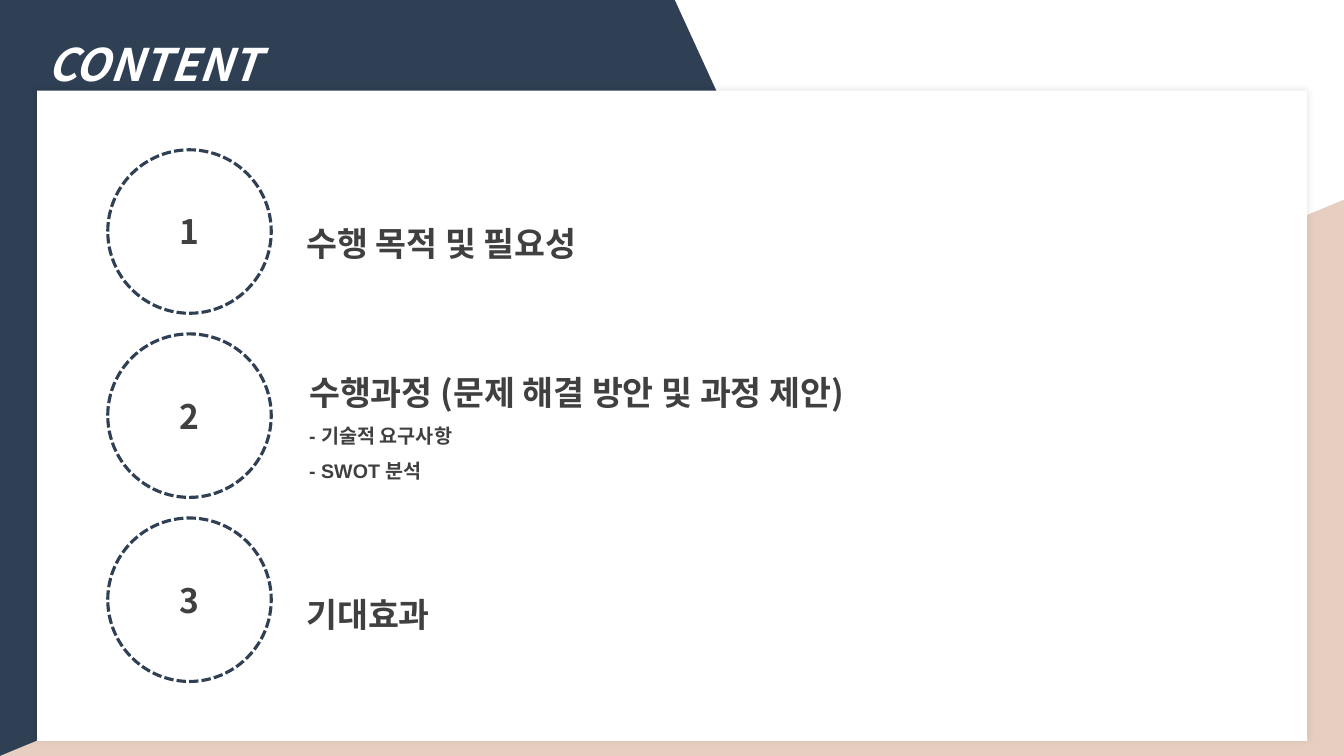
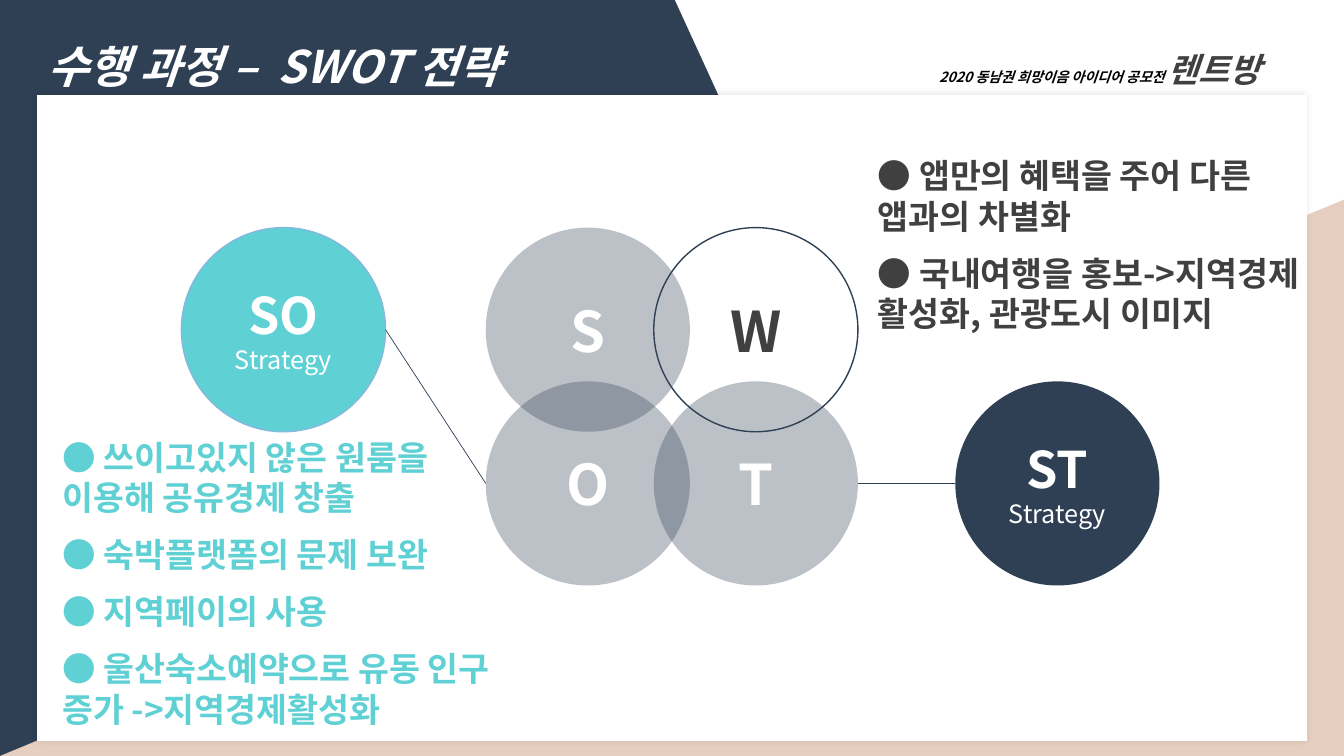
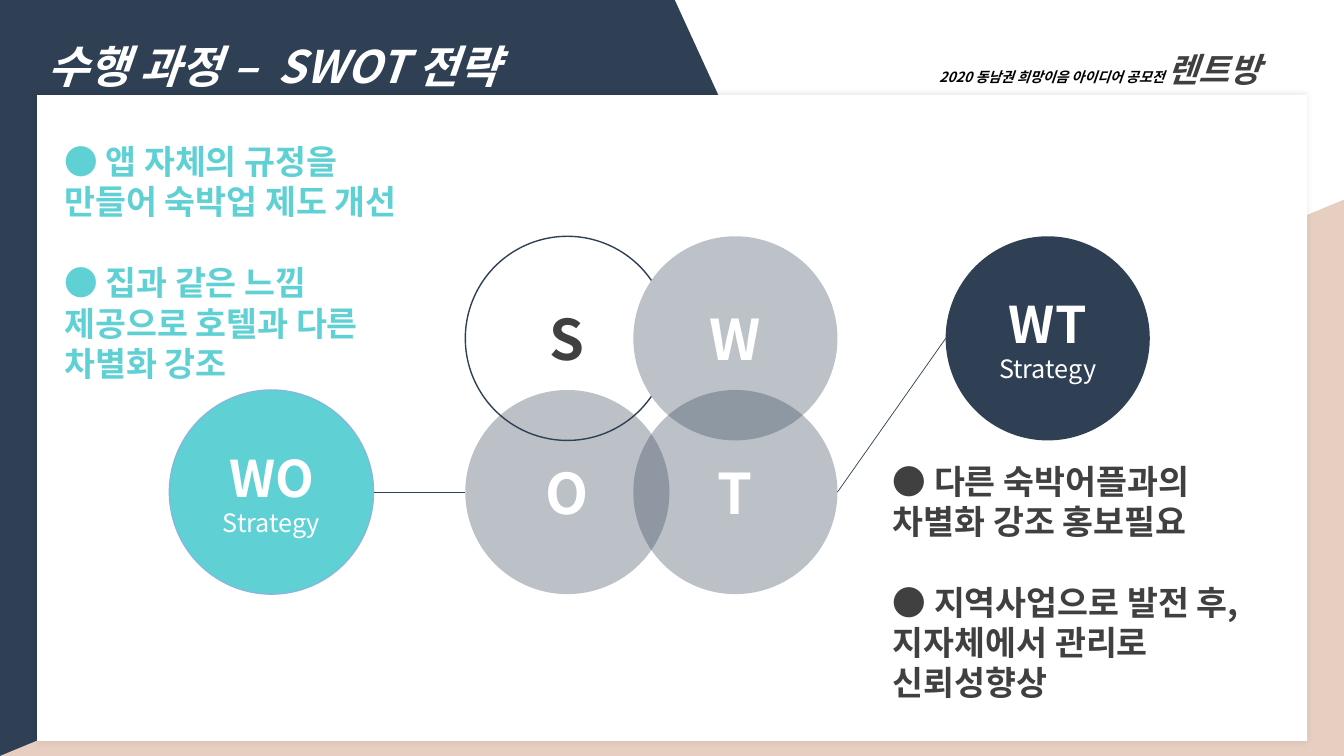
from dataclasses import dataclass

from lxml.etree import SubElement
from pptx import Presentation
from pptx.dml.color import RGBColor
from pptx.enum.dml import MSO_LINE
from pptx.enum.shapes import MSO_CONNECTOR, MSO_SHAPE
from pptx.enum.text import MSO_ANCHOR, MSO_AUTO_SIZE, PP_ALIGN
from pptx.oxml.ns import qn
from pptx.shapes.autoshape import Shape
from pptx.slide import Slide
from pptx.util import Pt


# Theme
@dataclass(frozen=True)
class Theme:
    navy: str = "2F4054"
    sand: str = "E6CFC1"
    white: str = "FFFFFF"
    black: str = "000000"
    charcoal: str = "404040"
    teal: str = "5FD0D4"
    teal_edge: str = "84B8DD"
    mist: str = "BCC2C8"
    font: str = "Noto Sans CJK KR"
    detail_font: str = "Arial"
    title_size: float = 32
    letter_size: float = 40
    strategy_size: float = 36
    body_size: float = 24
    caption_size: float = 18
    detail_size: float = 14
    event_size: float = 10


THEME = Theme()
WIDTH, HEIGHT = 960, 540
PANEL_LEFT, PANEL_WIDTH, PANEL_BOTTOM = 26.6, 907.2, 529.2
CIRCLE = 145.8
COLUMN_STEP, ROW_STEP = 120, 109.8


# Repeated elements
@dataclass(frozen=True)
class Topic:
    number: int
    text: str
    left: float
    top: float
    width: float
    height: float
    details: tuple[str, ...] = ()


@dataclass(frozen=True)
class Letter:
    text: str
    column: int
    row: int
    fill: str | None = THEME.navy
    opacity: int = 32


@dataclass(frozen=True)
class Strategy:
    name: str
    left: float
    top: float
    fill: str
    edge: str | None = None


@dataclass(frozen=True)
class Points:
    left: float
    top: float
    width: float
    height: float
    color: str
    gap: float
    lines: tuple[str, ...]


@dataclass(frozen=True)
class StrategySlide:
    left: float
    top: float
    letters: tuple[Letter, ...]
    left_strategy: Strategy
    right_strategy: Strategy
    points: tuple[Points, ...]


TOPICS = (
    Topic(1, "수행 목적 및 필요성", 211.7, 141, 341, 45),
    Topic(2, "수행과정 (문제 해결 방안 및 과정 제안)", 213.8, 247.7, 463, 99,
          ("- 기술적 요구사항", "- SWOT 분석")),
    Topic(3, "기대효과", 211.7, 406, 341, 45),
)

STRATEGY_SLIDES = (
    StrategySlide(
        347, 162.6,
        (Letter("S", 0, 0), Letter("O", 0, 1),
         Letter("W", 1, 0, fill=None), Letter("T", 1, 1)),
        Strategy("SO", 129.6, 162.6, THEME.teal, THEME.teal_edge),
        Strategy("ST", 682.4, 272.4, THEME.navy),
        (Points(620, 107.3, 317.5, 165, THEME.charcoal, 12,
                ("● 앱만의 혜택을 주어 다른 앱과의 차별화",
                 "● 국내여행을 홍보->지역경제 활성화, 관광도시 이미지")),
         Points(37.4, 308.2, 324, 218, THEME.teal, 12,
                ("● 쓰이고있지 않은 원룸을 이용해 공유경제 창출",
                 "● 숙박플랫폼의 문제 보완",
                 "● 지역페이의 사용",
                 "● 울산숙소예약으로 유동 인구 증가 ->지역경제활성화"))),
    ),
    StrategySlide(
        332.4, 168.8,
        (Letter("S", 0, 0, fill=None), Letter("O", 0, 1),
         Letter("W", 1, 0, fill=THEME.mist, opacity=100), Letter("T", 1, 1)),
        Strategy("WO", 121, 278.6, THEME.teal, THEME.teal_edge),
        Strategy("WT", 675.5, 168.8, THEME.navy),
        (Points(630.7, 325.4, 283.7, 181.4, THEME.charcoal, 29,
                ("● 다른 숙박어플과의 차별화 강조 홍보필요",
                 "● 지역사업으로 발전 후, 지자체에서 관리로 신뢰성향상")),
         Points(38.9, 97.2, 280, 181.4, THEME.teal, 29,
                ("● 앱 자체의 규정을 만들어 숙박업 제도 개선",
                 "● 집과 같은 느낌 제공으로 호텔과 다른 차별화 강조"))),
    ),
)


# Drawing tools
def write(shape: Shape, text: str, *, size: float, color: str, bold: bool = True,
          italic: bool = False, font: str = THEME.font, align: PP_ALIGN = PP_ALIGN.LEFT,
          line_spacing: float | None = None, space_before: float = 0,
          same_line: bool = False) -> None:
    """Add text as a new paragraph, or to the last one with same_line."""
    frame = shape.text_frame
    paragraph = frame.paragraphs[-1]
    if paragraph.runs and not same_line:
        paragraph = frame.add_paragraph()
        paragraph.space_before = Pt(space_before)
    paragraph.alignment = align
    if line_spacing:
        paragraph.line_spacing = line_spacing
    run = paragraph.add_run()
    run.text = text
    run.font.size = Pt(size)
    run.font.bold = bold
    run.font.italic = italic
    run.font.color.rgb = RGBColor.from_string(color)
    run.font.name = font
    east_asian = SubElement(run.font._element, qn("a:ea"))
    east_asian.set("typeface", THEME.font)


def add_text_box(slide: Slide, left: float, top: float, width: float, height: float) -> Shape:
    shape = slide.shapes.add_textbox(Pt(left), Pt(top), Pt(width), Pt(height))
    shape.text_frame.word_wrap = True
    shape.text_frame.auto_size = MSO_AUTO_SIZE.SHAPE_TO_FIT_TEXT
    return shape


def paint(shape: Shape, fill: str | None, opacity: int = 100,
          edge: str | None = None, edge_width: float = 1) -> None:
    shape.shadow.inherit = False
    if fill:
        shape.fill.solid()
        shape.fill.fore_color.rgb = RGBColor.from_string(fill)
        if opacity < 100:
            color = shape._element.spPr.find(qn("a:solidFill"))[0]
            SubElement(color, qn("a:alpha")).set("val", str(opacity * 1000))
    else:
        shape.fill.background()
    if edge:
        shape.line.color.rgb = RGBColor.from_string(edge)
        shape.line.width = Pt(edge_width)
    else:
        shape.line.fill.background()


def add_shape(slide: Slide, kind: MSO_SHAPE, left: float, top: float, width: float,
              height: float, fill: str | None, **style) -> Shape:
    shape = slide.shapes.add_shape(kind, Pt(left), Pt(top), Pt(width), Pt(height))
    paint(shape, fill, **style)
    return shape


def add_circle(slide: Slide, left: float, top: float, size: float,
               fill: str | None, **style) -> Shape:
    shape = add_shape(slide, MSO_SHAPE.OVAL, left, top, size, size, fill, **style)
    shape.text_frame.vertical_anchor = MSO_ANCHOR.MIDDLE
    return shape


def add_line(slide: Slide, start: tuple[float, float], end: tuple[float, float]) -> None:
    connector = slide.shapes.add_connector(
        MSO_CONNECTOR.STRAIGHT, *(Pt(value) for value in start + end))
    connector.line.color.rgb = RGBColor.from_string(THEME.navy)
    connector.line.width = Pt(0.5)
    SubElement(connector._element.spPr, qn("a:effectLst"))


def add_soft_shadow(shape: Shape) -> None:
    effects = shape._element.spPr.find(qn("a:effectLst"))
    shadow = SubElement(effects, qn("a:outerShdw"), blurRad=str(Pt(5)), dist="0",
                        dir="0", algn="ctr", rotWithShape="0")
    color = SubElement(shadow, qn("a:srgbClr"), val=THEME.black)
    SubElement(color, qn("a:alpha"), val="10000")


# Shared frame: navy band, sand wedge, white panel and title
def add_frame(slide: Slide, title: str, panel_top: float, title_top: float) -> None:
    builder = slide.shapes.build_freeform(0, 0, scale=Pt(1))
    builder.add_line_segments([(482.4, 0), (624, 310.3), (482.4, HEIGHT), (0, HEIGHT)])
    paint(builder.convert_to_shape(), THEME.navy)

    wedge = add_shape(slide, MSO_SHAPE.RIGHT_TRIANGLE, 0, 142.6, WIDTH, HEIGHT - 142.6,
                      THEME.sand)
    wedge._element.spPr.find(qn("a:xfrm")).set("flipH", "1")

    panel = add_shape(slide, MSO_SHAPE.RECTANGLE, PANEL_LEFT, panel_top, PANEL_WIDTH,
                      PANEL_BOTTOM - panel_top, THEME.white)
    add_soft_shadow(panel)

    write(add_text_box(slide, PANEL_LEFT, title_top, PANEL_WIDTH, 58), title,
          size=THEME.title_size, color=THEME.white, italic=True, line_spacing=1.5)


def add_event_label(slide: Slide) -> None:
    label = add_text_box(slide, 663.8, 31.7, 269.3, 36)
    write(label, "2020 동남권 희망이음 아이디어 공모전 ", size=THEME.event_size,
          color=THEME.black, italic=True)
    write(label, "렌트방", size=THEME.body_size, color=THEME.charcoal, italic=True,
          same_line=True)


# Contents slide
def add_topic(slide: Slide, topic: Topic) -> None:
    circle = add_circle(slide, 77, 107 + (topic.number - 1) * 131.5, 116.8, THEME.white,
                        opacity=52, edge=THEME.navy, edge_width=2.25)
    circle.line.dash_style = MSO_LINE.SQUARE_DOT
    write(circle, str(topic.number), size=THEME.body_size, color=THEME.charcoal,
          align=PP_ALIGN.CENTER)
    box = add_text_box(slide, topic.left, topic.top, topic.width, topic.height)
    write(box, topic.text, size=THEME.body_size, color=THEME.charcoal, line_spacing=1.5)
    for detail in topic.details:
        write(box, detail, size=THEME.detail_size, color=THEME.charcoal,
              font=THEME.detail_font, line_spacing=1.5)


def build_contents(slide: Slide) -> None:
    add_frame(slide, "CONTENT", panel_top=64.8, title_top=3.6)
    for topic in TOPICS:
        add_topic(slide, topic)


# Strategy slides
def add_strategy(slide: Slide, strategy: Strategy) -> None:
    circle = add_circle(slide, strategy.left, strategy.top, CIRCLE, strategy.fill,
                        edge=strategy.edge)
    write(circle, strategy.name, size=THEME.strategy_size, color=THEME.white,
          align=PP_ALIGN.CENTER)
    write(circle, "Strategy", size=THEME.caption_size, color=THEME.white, bold=False,
          align=PP_ALIGN.CENTER)


def build_strategies(slide: Slide, content: StrategySlide) -> None:
    add_frame(slide, "수행 과정 –  SWOT 전략", panel_top=67.9, title_top=5)
    add_event_label(slide)

    for letter in content.letters:
        circle = add_circle(slide, content.left + letter.column * COLUMN_STEP,
                            content.top + letter.row * ROW_STEP, CIRCLE, letter.fill,
                            opacity=letter.opacity,
                            edge=None if letter.fill else THEME.navy)
        write(circle, letter.text, size=THEME.letter_size, align=PP_ALIGN.CENTER,
              color=THEME.white if letter.fill else THEME.charcoal)

    left, right = content.left_strategy, content.right_strategy
    add_strategy(slide, left)
    add_strategy(slide, right)

    # Both links meet the lower row of letters
    radius = CIRCLE / 2
    row_middle = content.top + ROW_STEP + radius
    add_line(slide, (left.left + CIRCLE, left.top + radius), (content.left, row_middle))
    add_line(slide, (right.left, right.top + radius),
             (content.left + COLUMN_STEP + CIRCLE, row_middle))

    for points in content.points:
        box = add_text_box(slide, points.left, points.top, points.width, points.height)
        for line in points.lines:
            write(box, line, size=THEME.body_size, color=points.color,
                  space_before=points.gap)


def main() -> None:
    presentation = Presentation()
    presentation.slide_width, presentation.slide_height = Pt(WIDTH), Pt(HEIGHT)
    blank = presentation.slide_layouts[6]
    build_contents(presentation.slides.add_slide(blank))
    for content in STRATEGY_SLIDES:
        build_strategies(presentation.slides.add_slide(blank), content)
    presentation.save("out.pptx")


if __name__ == "__main__":
    main()
